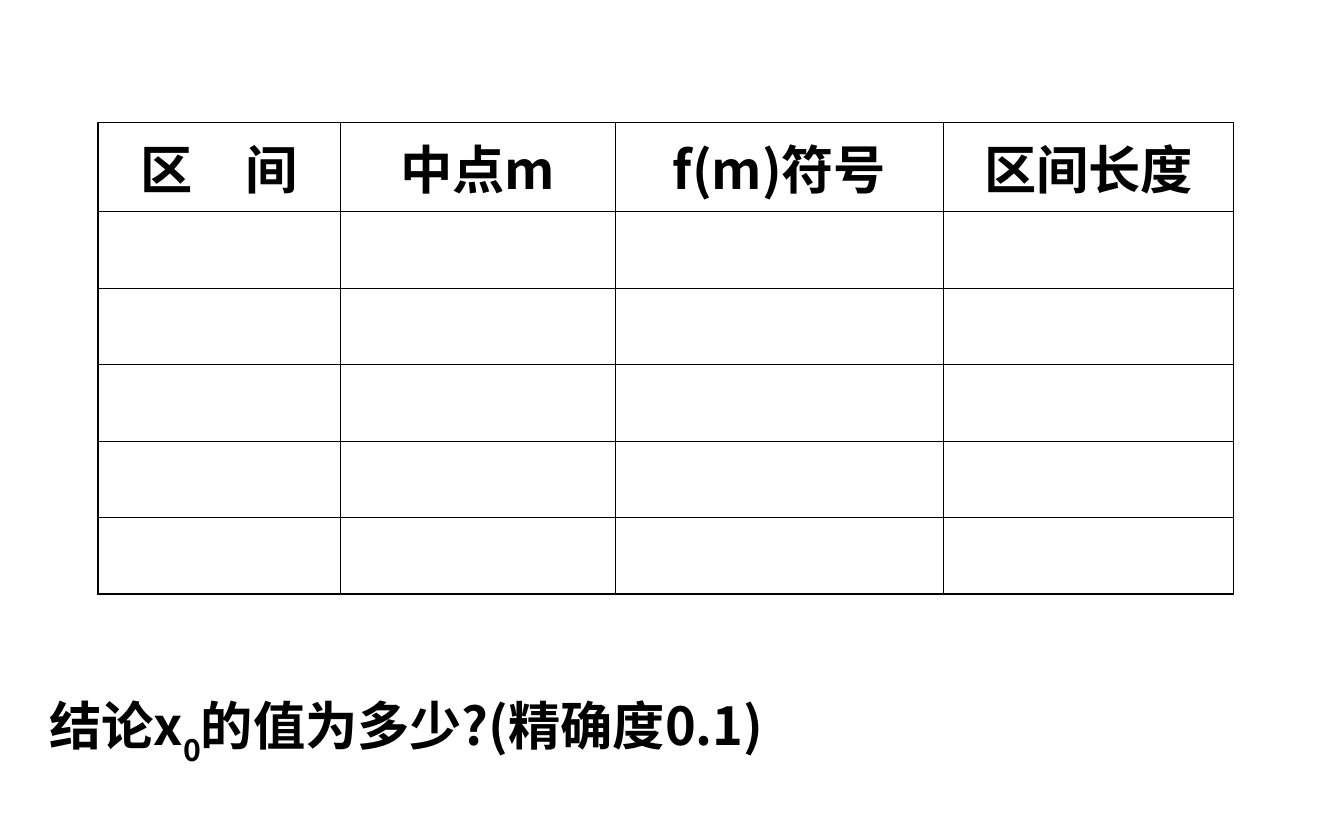
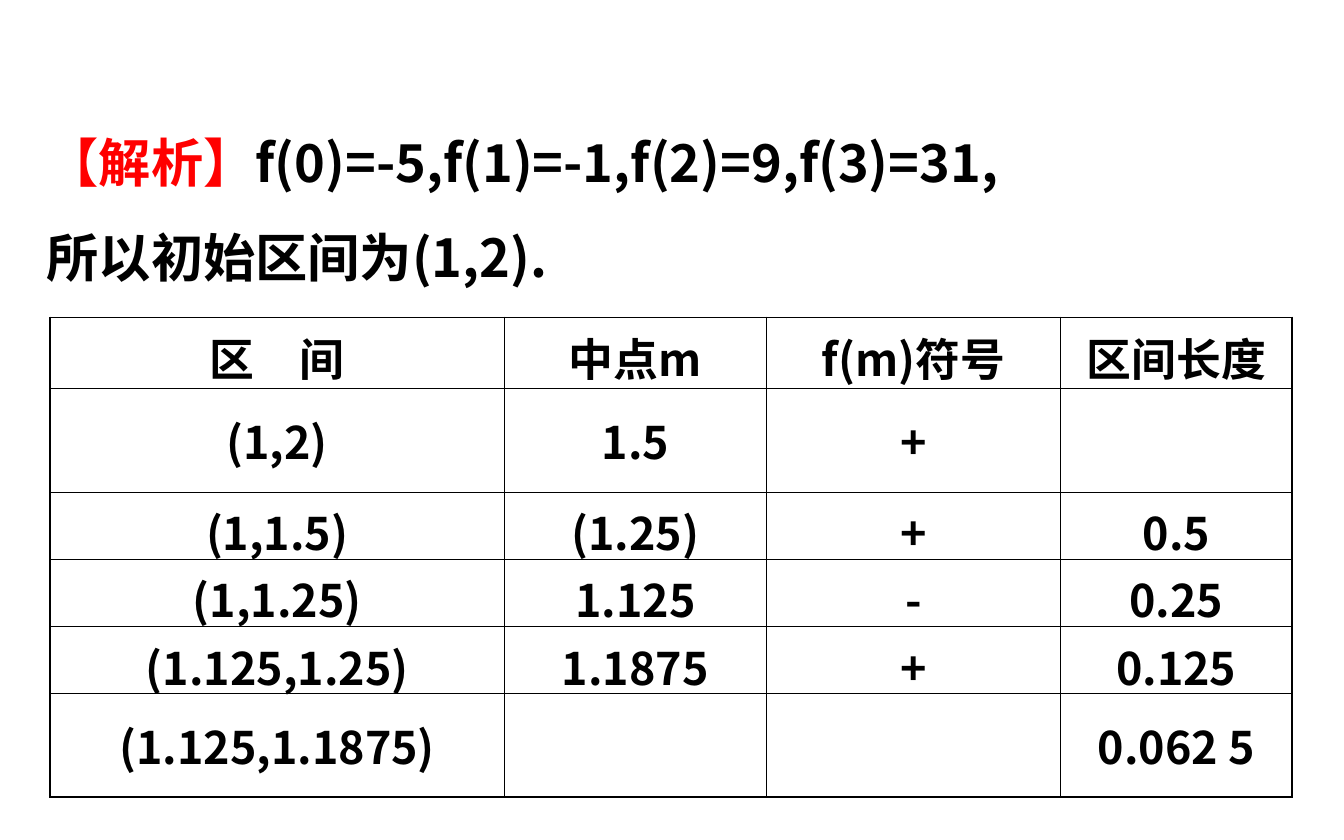
from lxml import etree
from pptx import Presentation
from pptx.dml.color import RGBColor
from pptx.enum import text
from pptx.oxml import ns
from pptx.util import Pt

FONT = "Noto Sans CJK SC"
BLACK, RED = "000000", "FF0000"
THIN, THICK = 0.45, 0.96
HEADS = ["区　间", "中点m", "f(m)符号", "区间长度"]


def hue(code):
    return RGBColor.from_string(code)


def edge(cell, side, width):
    """Draw one border of a cell; side is L, R, T or B."""
    line = etree.SubElement(cell._tc.get_or_add_tcPr(), ns.qn("a:ln" + side),
                            w=str(Pt(width)))
    fill = etree.SubElement(line, ns.qn("a:solidFill"))
    etree.SubElement(fill, ns.qn("a:srgbClr"), val=BLACK)


class Deck:
    def __init__(self, width, height):
        self.prs = Presentation()
        self.prs.slide_width, self.prs.slide_height = Pt(width), Pt(height)
        self.slide = None

    def new(self):
        self.slide = self.prs.slides.add_slide(self.prs.slide_layouts[6])

    def style(self, run, size, color=BLACK, base=0):
        """Format a run; base is its baseline shift in percent."""
        font = run.font
        font.name, font.size, font.bold = FONT, Pt(size), True
        font.color.rgb = hue(color)
        props = run._r.get_or_add_rPr()
        etree.SubElement(props, ns.qn("a:ea"), typeface=FONT)
        if base:
            props.set("baseline", str(base * 1000))

    def text(self, box, paras, space, size=28):
        """Add a text box; each paragraph is a list of (words, style) pairs."""
        frame = self.slide.shapes.add_textbox(*map(Pt, box)).text_frame
        frame.word_wrap = True
        for i, parts in enumerate(paras):
            para = frame.add_paragraph() if i else frame.paragraphs[0]
            para.line_spacing = space
            for words, look in parts:
                run = para.add_run()
                run.text = words
                self.style(run, size, **look)

    def table(self, left, top, cols, rows, data, size):
        """Add a grid with a thicker outer frame."""
        shape = self.slide.shapes.add_table(
            len(rows), len(cols), Pt(left), Pt(top), Pt(sum(cols)), Pt(sum(rows)))
        grid = shape.table
        grid.first_row = grid.horz_banding = False
        for col, width in zip(grid.columns, cols):
            col.width = Pt(width)
        for row, height in zip(grid.rows, rows):
            row.height = Pt(height)
        for r in range(len(rows)):
            for c in range(len(cols)):
                cell = grid.cell(r, c)
                outer = {"L": c == 0, "R": c == len(cols) - 1,
                         "T": r == 0, "B": r == len(rows) - 1}
                for side, thick in outer.items():
                    edge(cell, side, THICK if thick else THIN)
                cell.fill.background()
                cell.vertical_anchor = text.MSO_ANCHOR.MIDDLE
                if r < len(data) and data[r][c]:
                    self.fill(cell, data[r][c], size)

    def fill(self, cell, words, size):
        para = cell.text_frame.paragraphs[0]
        para.text = words
        para.alignment = text.PP_ALIGN.CENTER
        self.style(para.runs[0], size)


def main():
    deck = Deck(720, 450)

    deck.new()
    deck.table(52.5, 65.7, [129.6, 147.6, 175.7, 155.5], [41] * 6, [HEADS], 28)
    deck.text((19.4, 336.2, 671.8, 78.5),
              [[("结论x", {}), ("0", {"base": -30}),
                ("的值为多少?(精确度0.1)", {})]], 1.8)

    deck.new()
    deck.text((18, 49.7, 679, 108),
              [[("【解析】", {"color": RED}),
                ("f(0)=-5,f(1)=-1,f(2)=9,f(3)=31,", {})],
               [("所以初始区间为(1,2).", {})]], 1.5)
    steps = [
        HEADS,
        ["(1,2)", "1.5", "+", ""],
        ["(1,1.5)", "(1.25)", "+", "0.5"],
        ["(1,1.25)", "1.125", "-", "0.25"],
        ["(1.125,1.25)", "1.1875", "+", "0.125"],
        ["(1.125,1.1875)", "", "", "0.062 5"],
    ]
    deck.table(26.8, 170, [243.4, 140.4, 157.7, 123.8],
               [38.2, 55.4, 36, 36, 36, 55.4], steps, 24)

    deck.prs.save("out.pptx")


if __name__ == "__main__":
    main()
